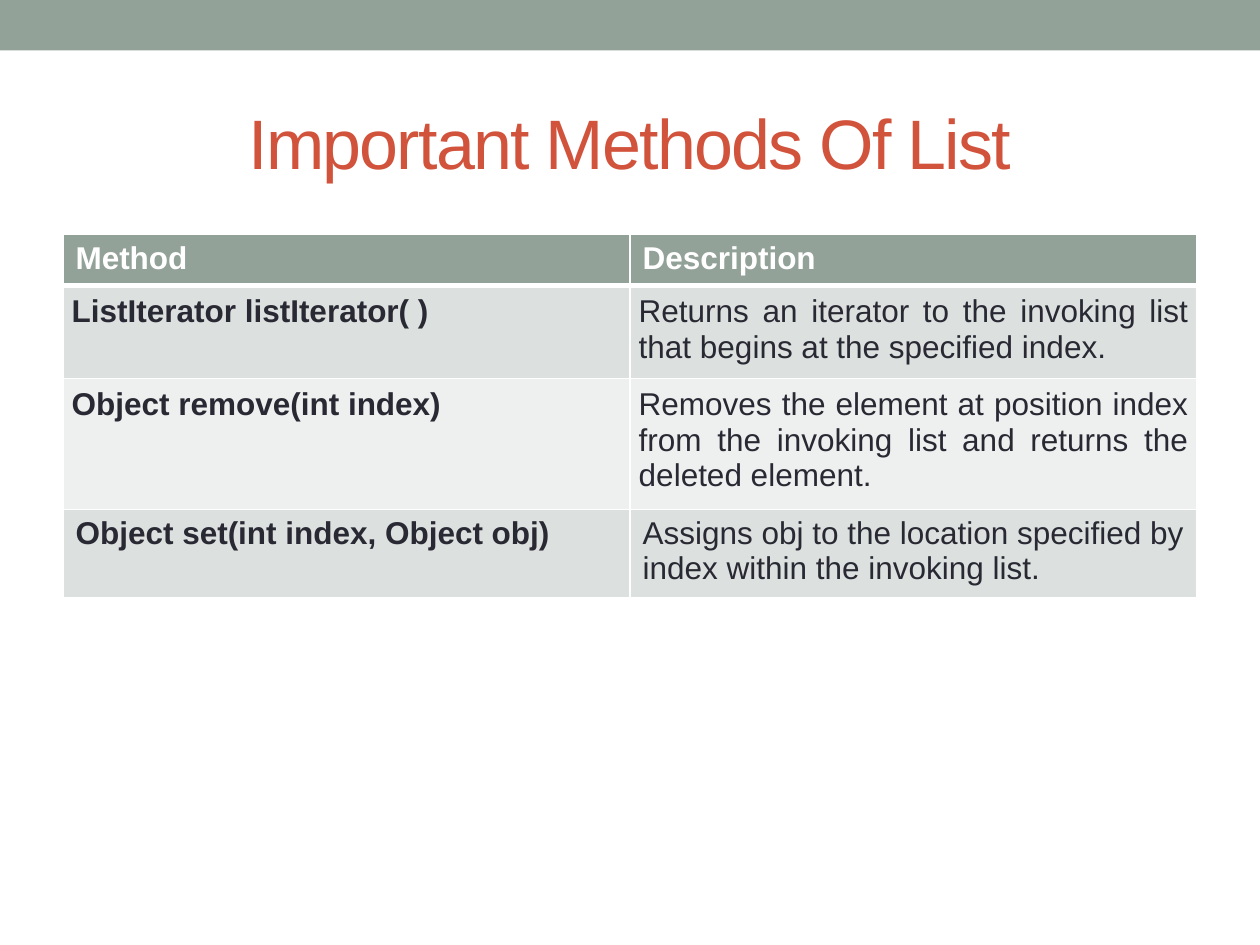
import dataclasses

import lxml.etree
import pptx
import pptx.dml.color
import pptx.enum.shapes
import pptx.enum.text
import pptx.oxml.ns
import pptx.util

Pt = pptx.util.Pt
Align = pptx.enum.text.PP_ALIGN
Anchor = pptx.enum.text.MSO_ANCHOR


@dataclasses.dataclass(frozen=True)
class Theme:
    font: str = "Arial"
    sage: str = "93A299"
    rust: str = "D2533C"
    ink: str = "292934"
    white: str = "FFFFFF"
    bands: tuple = ("DCE0DE", "EEF0EF")
    title_size: float = 40
    table_size: float = 18
    rule: float = 1
    header_rule: float = 3


THEME = Theme()
TITLE = "Important Methods Of List"
HEADINGS = ("Method", "Description")
METHODS = (
    ("ListIterator listIterator( )",
     "Returns an iterator to the invoking list that begins at the specified index."),
    ("Object remove(int index)",
     "Removes the element at position index from the invoking list "
     "and returns the deleted element."),
    ("Object set(int index, Object obj)",
     "Assigns obj to the location specified by index within the invoking list."),
)
LOOSE = {"margin_left": Pt(7.2), "margin_right": Pt(7.2),
         "margin_top": Pt(3.6), "margin_bottom": Pt(3.6)}
TIGHT = dict.fromkeys(LOOSE, Pt(5))


def color(value):
    return pptx.dml.color.RGBColor.from_string(value)


def apply(target, values):
    for name, value in values.items():
        setattr(target, name, value)


def fill(target, value):
    target.fill.solid()
    target.fill.fore_color.rgb = color(value)


def write(frame, text, align, size, value, bold=False):
    para = frame.paragraphs[0]
    para.alignment = align
    span = para.add_run()
    span.text = text
    apply(span.font, {"name": THEME.font, "size": Pt(size), "bold": bold})
    span.font.color.rgb = color(value)
    return span


def add_banner(page, left, top, width, height):
    banner = page.shapes.add_shape(
        pptx.enum.shapes.MSO_SHAPE.RECTANGLE, left, top, width, height)
    banner.shadow.inherit = False
    fill(banner, THEME.sage)
    banner.line.fill.background()


def add_title(page, left, top, width, height):
    box = page.shapes.add_textbox(left, top, width, height)
    apply(box.text_frame, {"word_wrap": True, "vertical_anchor": Anchor.MIDDLE})
    span = write(box.text_frame, TITLE, Align.CENTER, THEME.title_size, THEME.rust)
    span.font._element.set("spc", "-100")


def add_borders(cell, widths):
    properties = cell._tc.get_or_add_tcPr()
    for position, (side, width) in enumerate(widths.items()):
        line = lxml.etree.Element(pptx.oxml.ns.qn(f"a:ln{side}"), w=str(Pt(width)))
        solid = lxml.etree.SubElement(line, pptx.oxml.ns.qn("a:solidFill"))
        lxml.etree.SubElement(solid, pptx.oxml.ns.qn("a:srgbClr"), val=THEME.white)
        properties.insert(position, line)


def add_methods(page, left, top, width, height):
    rows = (HEADINGS,) + METHODS
    table = page.shapes.add_table(
        len(rows), len(HEADINGS), left, top, width, height).table
    for row, texts in enumerate(rows):
        header = row == 0
        justified = 0 < row < len(rows) - 1
        widths = dict.fromkeys("LRTB", THEME.rule)
        if row < 2:
            widths["B" if header else "T"] = THEME.header_rule
        for column, text in enumerate(texts):
            cell = table.cell(row, column)
            apply(cell, TIGHT if justified else LOOSE)
            fill(cell, THEME.sage if header else THEME.bands[(row - 1) % 2])
            add_borders(cell, widths)
            write(cell.text_frame, text,
                  Align.JUSTIFY if justified else Align.LEFT,
                  THEME.table_size,
                  THEME.white if header else THEME.ink,
                  header or column == 0)


def main():
    deck = pptx.Presentation()
    apply(deck, {"slide_width": Pt(720), "slide_height": Pt(540)})
    page = deck.slides.add_slide(deck.slide_layouts[6])
    add_banner(page, Pt(0), Pt(0), deck.slide_width, Pt(28.8))
    add_title(page, Pt(36), Pt(42), Pt(648), Pt(78))
    add_methods(page, Pt(36), Pt(134), Pt(648), Pt(116.8))
    deck.save("out.pptx")


if __name__ == "__main__":
    main()
